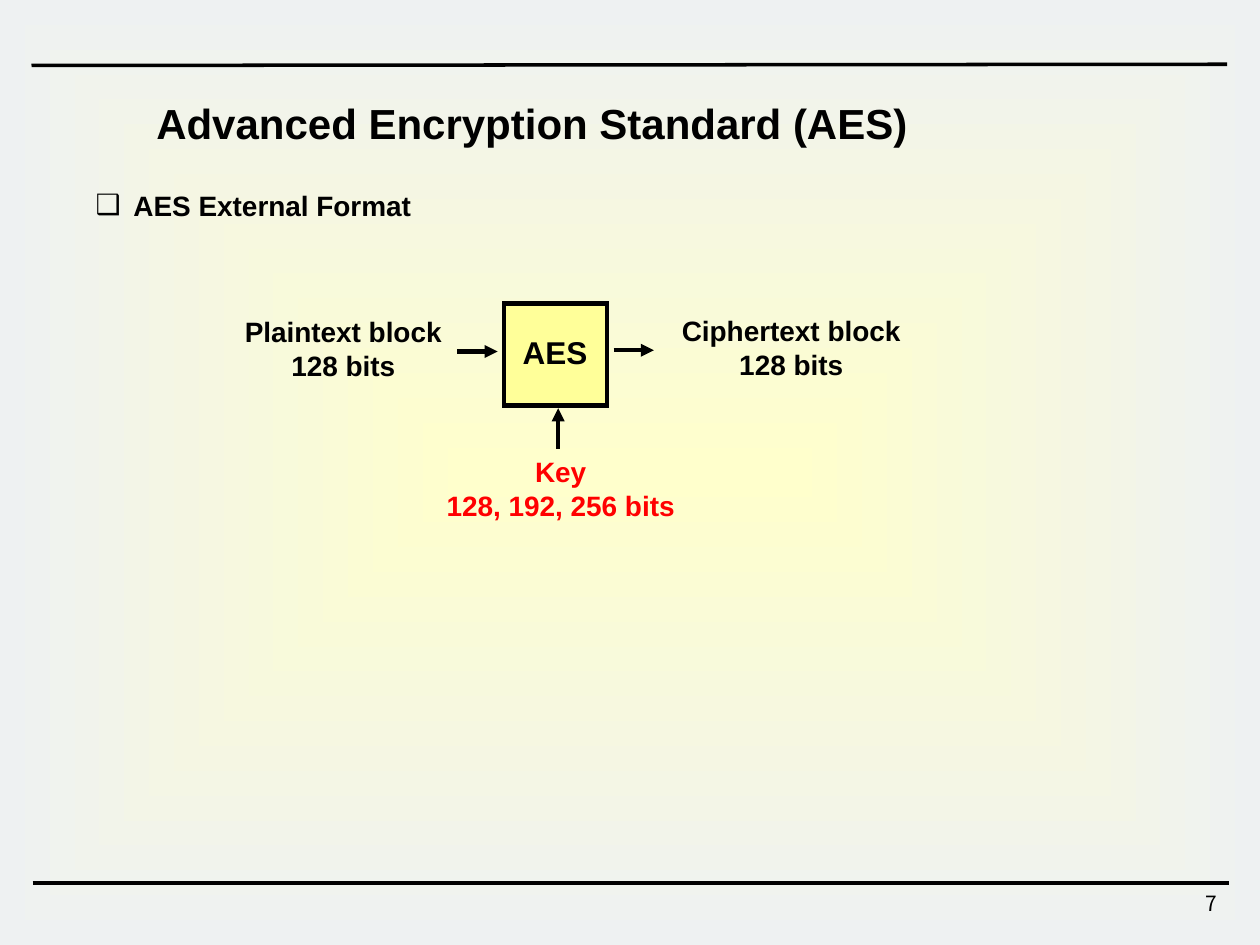
from lxml import etree
from pptx import Presentation
from pptx.dml.color import RGBColor
from pptx.enum import shapes, text
from pptx.oxml.ns import qn
from pptx.util import Inches, Pt

TITLE = ("Advanced Encryption Standard (AES)", (1.14, 0.72, 6.16, 0.5))
HEADING = ("AES External Format", (0.76, 1.47, 8.33, 0.29))
PAGE_NUMBER = ("7", (7.68, 7.02, 2.08, 0.33))
CIPHER_BOX = (4, 2.41, 0.82, 0.81)

# lines of text, place, size name, colour name
LABELS = [
    (["AES"], (4.15, 2.64, 0.51, 0.3), "cipher", "ink"),
    (["Plaintext block", "128 bits"], (1.94, 2.5, 1.57, 0.53), "body", "ink"),
    (["Ciphertext block", "128 bits"], (5.41, 2.49, 1.74, 0.53), "body", "ink"),
    (["Key", "128, 192, 256 bits"], (3.53, 3.61, 1.84, 0.54), "body", "key"),
]
RULES = [(0.25, 0.52, 9.74, 0.51), (0.26, 7.01, 9.75, 7.01)]
ARROWS = [
    (3.63, 2.79, 3.95, 2.79),
    (4.43, 3.56, 4.43, 3.24),
    (4.87, 2.78, 5.19, 2.78),
]

THEME = {
    "font": "Arial",
    "number_font": "Noto Sans CJK KR",
    "size": {"title": 24, "cipher": 18, "body": 16, "number": 12},
    "color": {"ink": "000000", "key": "FF0000", "cipher": "FFFF99",
              "glow": "FFFFCC", "edge": "EEF1F2"},
    "line": {"rule": 2, "diagram": 2.5},
}


def color(name):
    return RGBColor.from_string(THEME["color"][name])


def place(shape, area):
    shape.left, shape.top, shape.width, shape.height = map(Inches, area)


def write(frame, lines, size, ink="ink", align=text.PP_ALIGN.LEFT,
          font="font", bold=True, inset=None, wrap=False):
    """Fill a text frame with equally formatted paragraphs."""
    settings = {"word_wrap": wrap, "auto_size": text.MSO_AUTO_SIZE.NONE,
                "vertical_anchor": text.MSO_ANCHOR.TOP}
    if inset is not None:
        for side in ("left", "top", "right", "bottom"):
            settings[f"margin_{side}"] = Inches(inset)
    for name, value in settings.items():
        setattr(frame, name, value)
    frame.text = "\n".join(lines)
    style = {"name": THEME[font], "size": Pt(THEME["size"][size]), "bold": bold}
    for para in frame.paragraphs:
        para.alignment = align
        for span in para.runs:
            for name, value in style.items():
                setattr(span.font, name, value)
            span.font.color.rgb = color(ink)


def add_text(page, lines, area, size, **options):
    box = page.shapes.add_textbox(*map(Inches, area))
    write(box.text_frame, lines, size, **options)
    return box


def add_line(page, ends, weight, arrow=False):
    line = page.shapes.add_connector(shapes.MSO_CONNECTOR.STRAIGHT,
                                     *map(Inches, ends))
    line.line.color.rgb = color("ink")
    line.line.width = Pt(THEME["line"][weight])
    if arrow:
        etree.SubElement(line.line._get_or_add_ln(), qn("a:tailEnd"),
                         type="triangle")
    etree.SubElement(line._element.spPr, qn("a:effectLst"))


def add_rectangle(page, area):
    box = page.shapes.add_shape(shapes.MSO_SHAPE.RECTANGLE, *map(Inches, area))
    box.shadow.inherit = False
    return box


def add_backdrop(page):
    """Put a gradient that spreads from the centre behind everything."""
    backdrop = add_rectangle(page, (0, 0, 10, 7.5))
    backdrop.line.fill.background()
    backdrop.fill.gradient()
    for stop, name in zip(backdrop.fill.gradient_stops, ("glow", "edge")):
        stop.color.rgb = color(name)
    gradient = backdrop._element.spPr.find(qn("a:gradFill"))
    gradient.remove(gradient.find(qn("a:lin")))
    spread = etree.SubElement(gradient, qn("a:path"), path="rect")
    etree.SubElement(spread, qn("a:fillToRect"),
                     dict.fromkeys("ltrb", "50000"))
    page.shapes._spTree.insert(2, backdrop._element)


def add_title(page):
    label, area = TITLE
    title = page.shapes.title
    place(title, area)
    write(title.text_frame, [label], "title")
    # The line fills the box, so the right inset is given up to keep it whole.
    title.text_frame.margin_right = 0


def add_heading(page):
    label, area = HEADING
    box = add_text(page, [label], area, "body", inset=0, wrap=True)
    para = box.text_frame.paragraphs[0]
    para.line_spacing = 1.1
    props = para._p.get_or_add_pPr()
    props.set("marL", str(Inches(0.3)))
    props.set("indent", str(-Inches(0.3)))
    etree.SubElement(props, qn("a:buFont"), typeface=THEME["font"])
    etree.SubElement(props, qn("a:buChar"), char="❑")


def add_cipher(page):
    cipher = add_rectangle(page, CIPHER_BOX)
    cipher.fill.solid()
    cipher.fill.fore_color.rgb = color("cipher")
    cipher.line.color.rgb = color("ink")
    cipher.line.width = Pt(THEME["line"]["diagram"])
    etree.SubElement(cipher.line._get_or_add_ln(), qn("a:miter"), lim="800000")


def main():
    deck = Presentation()
    deck.slide_width, deck.slide_height = Inches(10), Inches(7.5)
    page = deck.slides.add_slide(deck.slide_layouts[5])
    add_backdrop(page)
    for ends in RULES:
        add_line(page, ends, "rule")
    add_title(page)
    add_heading(page)
    add_cipher(page)
    for ends in ARROWS:
        add_line(page, ends, "diagram", arrow=True)
    for lines, area, size, ink in LABELS:
        add_text(page, lines, area, size, ink=ink, inset=0,
                 align=text.PP_ALIGN.CENTER)

    label, area = PAGE_NUMBER
    add_text(page, [label], area, "number", font="number_font", bold=False,
             align=text.PP_ALIGN.RIGHT, wrap=True)
    deck.save("out.pptx")


if __name__ == "__main__":
    main()
